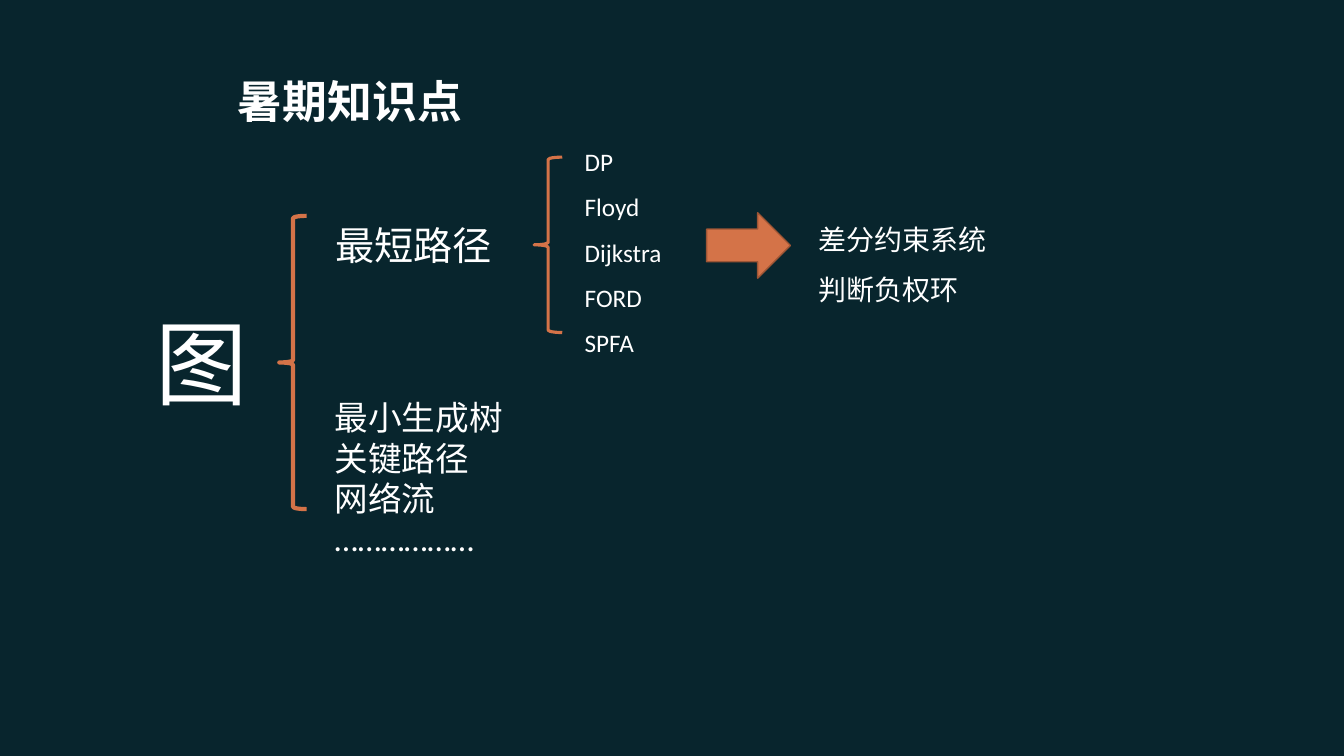
import dataclasses
import typing

import lxml.etree
import pptx
import pptx.dml.color
import pptx.enum.shapes
import pptx.enum.text
import pptx.oxml.ns
import pptx.util

Cm = pptx.util.Cm
Pt = pptx.util.Pt
Anchor = pptx.enum.text.MSO_ANCHOR
AutoSize = pptx.enum.text.MSO_AUTO_SIZE
Preset = pptx.enum.shapes.MSO_SHAPE

COLORS = {
    "background": "08252D",
    "text": "FFFFFF",
    "accent": "D47348",
    "arrow_edge": "9D5535",
}
COMPARISON_LAYOUT = 4


@dataclasses.dataclass(frozen=True)
class Box:
    """Left, top, width and height in centimetres."""
    left: float
    top: float
    width: float
    height: float

    def lengths(self) -> tuple:
        return tuple(Cm(value) for value in dataclasses.astuple(self))


@dataclasses.dataclass(frozen=True)
class TextBlock:
    box: Box
    lines: tuple
    size: float
    spacing: float = 1.0
    placeholder: typing.Optional[int] = None


@dataclasses.dataclass(frozen=True)
class Symbol:
    preset: typing.Any
    box: Box
    line_color: str
    line_width: float
    fill_color: typing.Optional[str] = None


TITLE_BOX = Box(5.74, 1.52, 20.19, 2.01)

TEXT_BLOCKS = (
    TextBlock(Box(3.68, 7.59, 2.62, 3.07), ("图",), 66),
    TextBlock(Box(8.2, 5.44, 4.9, 1.45), ("最短路径",), 28),
    TextBlock(Box(14.48, 3.18, 3.51, 6.02),
              ("DP", "Floyd", "Dijkstra", "FORD", "SPFA"), 18, 1.5, placeholder=2),
    TextBlock(Box(20.37, 5.05, 5.0, 2.67),
              ("差分约束系统", "判断负权环"), 20, 1.5, placeholder=4),
    TextBlock(Box(8.18, 9.88, 5.61, 4.37),
              ("最小生成树", "关键路径", "网络流", "………………"), 24, placeholder=1),
)

SYMBOLS = (
    Symbol(Preset.LEFT_BRACE, Box(7.04, 5.44, 0.69, 7.39), "accent", 3),
    Symbol(Preset.LEFT_BRACE, Box(13.46, 3.96, 0.71, 4.42), "accent", 2.25),
    Symbol(Preset.RIGHT_ARROW, Box(17.81, 5.36, 2.11, 1.65), "arrow_edge", 1, "accent"),
)


def rgb(name: str) -> pptx.dml.color.RGBColor:
    return pptx.dml.color.RGBColor.from_string(COLORS[name])


def place(shape: typing.Any, box: Box) -> None:
    shape.left, shape.top, shape.width, shape.height = box.lengths()


def write_text(shape: typing.Any, lines: typing.Sequence[str], *, size: float,
               font: str = "Calibri", bold: bool = False, spacing: float = 1.0,
               anchor: typing.Any = Anchor.TOP,
               auto_size: typing.Any = AutoSize.SHAPE_TO_FIT_TEXT) -> None:
    frame = shape.text_frame
    frame.word_wrap = True
    frame.auto_size = auto_size
    frame.vertical_anchor = anchor
    for index, line in enumerate(lines):
        paragraph = frame.paragraphs[0] if index == 0 else frame.add_paragraph()
        # Plain lines without bullet or indent
        properties = paragraph._p.get_or_add_pPr()
        properties.set("marL", "0")
        properties.set("indent", "0")
        lxml.etree.SubElement(properties, pptx.oxml.ns.qn("a:buNone"))
        paragraph.alignment = pptx.enum.text.PP_ALIGN.LEFT
        paragraph.line_spacing = spacing
        paragraph.space_before = Pt(0)
        run = paragraph.add_run()
        run.text = line
        run.font.name = font
        run.font.size = Pt(size)
        run.font.bold = bold
        run.font.color.rgb = rgb("text")


def draw_text_block(slide: typing.Any, block: TextBlock) -> None:
    if block.placeholder is None:
        shape = slide.shapes.add_textbox(*block.box.lengths())
    else:
        shape = slide.placeholders[block.placeholder]
        place(shape, block.box)
    write_text(shape, block.lines, size=block.size, spacing=block.spacing)


def draw_symbol(slide: typing.Any, symbol: Symbol) -> None:
    shape = slide.shapes.add_shape(symbol.preset, *symbol.box.lengths())
    shape.shadow.inherit = False
    shape.line.color.rgb = rgb(symbol.line_color)
    shape.line.width = Pt(symbol.line_width)
    if symbol.fill_color is None:
        shape.fill.background()
    else:
        shape.fill.solid()
        shape.fill.fore_color.rgb = rgb(symbol.fill_color)


def main() -> None:
    presentation = pptx.Presentation()
    presentation.slide_width = Cm(33.87)
    presentation.slide_height = Cm(19.05)
    slide = presentation.slides.add_slide(presentation.slide_layouts[COMPARISON_LAYOUT])
    slide.background.fill.solid()
    slide.background.fill.fore_color.rgb = rgb("background")

    # Title
    place(slide.shapes.title, TITLE_BOX)
    write_text(slide.shapes.title, ("暑期知识点",), size=32, font="Roboto", bold=True,
               anchor=Anchor.MIDDLE, auto_size=AutoSize.NONE)

    # Topic tree
    for block in TEXT_BLOCKS:
        draw_text_block(slide, block)
    for symbol in SYMBOLS:
        draw_symbol(slide, symbol)

    # Unused placeholders
    for placeholder in list(slide.placeholders):
        if not placeholder.text_frame.text:
            placeholder.element.getparent().remove(placeholder.element)

    presentation.save("out.pptx")


if __name__ == "__main__":
    main()
